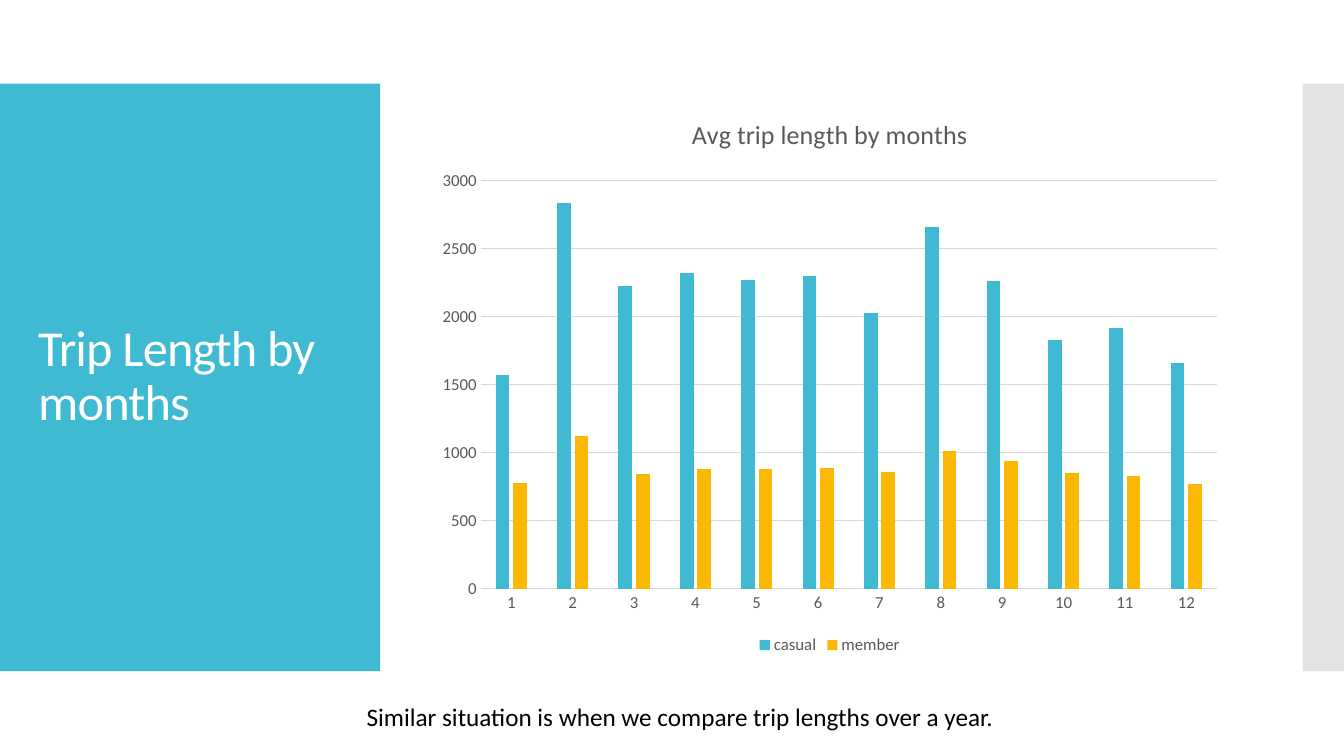
"""Build the slide that compares average trip lengths by month."""
import lxml.etree
import pptx
import pptx.chart.data
import pptx.dml.color
import pptx.enum.chart
import pptx.enum.shapes
import pptx.enum.text
import pptx.oxml.ns
import pptx.util

Inches = pptx.util.Inches
Pt = pptx.util.Pt
FONT = "Calibri"
COLORS = {
    "casual": "40BAD2",
    "member": "FAB900",
    "panel": "40BAD2",
    "strip": "C8C8C8",
    "title": "FFFFFF",
    "caption": "000000",
    "chart_text": "595959",
    "grid": "D9D9D9",
}
TRIP_LENGTHS = {
    "casual": [1570, 2840, 2230, 2320, 2270, 2300, 2030, 2660, 2260, 1830, 1920, 1660],
    "member": [780, 1120, 840, 880, 880, 890, 860, 1010, 940, 850, 830, 770],
}


def color(name):
    """Return the named colour."""
    return pptx.dml.color.RGBColor.from_string(COLORS[name])


def style_font(font, size, name):
    """Set the face, size and colour of a font."""
    font.name = FONT
    font.size = Pt(size)
    font.bold = False
    font.color.rgb = color(name)


def add_band(page, box, name):
    """Add a plain rectangle filled with the named colour."""
    band = page.shapes.add_shape(
        pptx.enum.shapes.MSO_SHAPE.RECTANGLE, *map(Inches, box))
    band.shadow.inherit = False
    band.fill.solid()
    band.fill.fore_color.rgb = color(name)
    band.line.fill.background()
    return band


def add_text(page, box, text, size, name):
    """Add a wrapped text box with one paragraph and return its frame."""
    frame = page.shapes.add_textbox(*map(Inches, box)).text_frame
    frame.word_wrap = True
    para = frame.paragraphs[0]
    para.text = text
    style_font(para.font, size, name)
    return frame


def add_title_panel(page, box):
    """Add the coloured panel with the slide title inside it."""
    left, top, width, height = box
    add_band(page, box, "panel")
    title_box = (left + 0.28, top + 0.4, width - 0.55, height - 0.8)
    frame = add_text(page, title_box, "Trip Length by months", 36, "title")
    frame.vertical_anchor = pptx.enum.text.MSO_ANCHOR.MIDDLE
    para = frame.paragraphs[0]
    para.line_spacing = 0.9
    para.runs[0].font._element.set("spc", "-60")


def add_edge_strip(page, box):
    """Add the half transparent strip at the right edge."""
    strip = add_band(page, box, "strip")
    shade = strip.fill._xPr.find(".//" + pptx.oxml.ns.qn("a:srgbClr"))
    lxml.etree.SubElement(shade, pptx.oxml.ns.qn("a:alpha"), val="50000")


def style_axis(axis):
    """Set the text and tick marks of a chart axis."""
    style_font(axis.tick_labels.font, 12, "chart_text")
    axis.major_tick_mark = pptx.enum.chart.XL_TICK_MARK.NONE
    axis.minor_tick_mark = pptx.enum.chart.XL_TICK_MARK.NONE


def style_line(line):
    """Give a chart line the thin grid look."""
    line.color.rgb = color("grid")
    line.width = Pt(0.75)


def add_trip_chart(page, box):
    """Add the column chart of trip lengths for both rider types."""
    chart_data = pptx.chart.data.CategoryChartData()
    chart_data.categories = [str(month) for month in range(1, 13)]
    for rider, lengths in TRIP_LENGTHS.items():
        chart_data.add_series(rider, lengths)
    chart = page.shapes.add_chart(
        pptx.enum.chart.XL_CHART_TYPE.COLUMN_CLUSTERED,
        *map(Inches, box), chart_data).chart
    style_font(chart.font, 10, "caption")

    chart.has_title = True
    heading = chart.chart_title.text_frame.paragraphs[0]
    heading.text = "Avg trip length by months"
    style_font(heading.font, 18.6, "chart_text")
    chart.chart_title.include_in_layout = False

    chart.has_legend = True
    chart.legend.position = pptx.enum.chart.XL_LEGEND_POSITION.BOTTOM
    chart.legend.include_in_layout = False
    style_font(chart.legend.font, 12, "chart_text")

    months, lengths = chart.category_axis, chart.value_axis
    style_axis(months)
    style_axis(lengths)
    style_line(months.format.line)
    lengths.format.line.fill.background()
    lengths.has_major_gridlines = True
    style_line(lengths.major_gridlines.format.line)
    lengths.minimum_scale, lengths.maximum_scale = 0, 3000
    lengths.major_unit = 500

    plot = chart.plots[0]
    plot.vary_by_categories = False
    plot.gap_width = 219
    plot.overlap = -27
    for series in plot.series:
        series.format.fill.solid()
        series.format.fill.fore_color.rgb = color(series.name)


def add_caption(page, box):
    """Add the centred remark below the chart."""
    text = "Similar situation is when we compare trip lengths over a year."
    frame = add_text(page, box, text, 18, "caption")
    frame.paragraphs[0].alignment = pptx.enum.text.PP_ALIGN.CENTER


def main():
    """Build the deck and save it."""
    deck = pptx.Presentation()
    deck.slide_width, deck.slide_height = Inches(13.33), Inches(7.5)
    page = deck.slides.add_slide(deck.slide_layouts[6])
    add_title_panel(page, (0, 0.83, 3.77, 5.83))
    add_edge_strip(page, (12.92, 0.83, 0.41, 5.83))
    add_trip_chart(page, (4.23, 0.94, 8, 5.6))
    add_caption(page, (0.28, 6.91, 12.93, 0.4))
    deck.save("out.pptx")


main()
